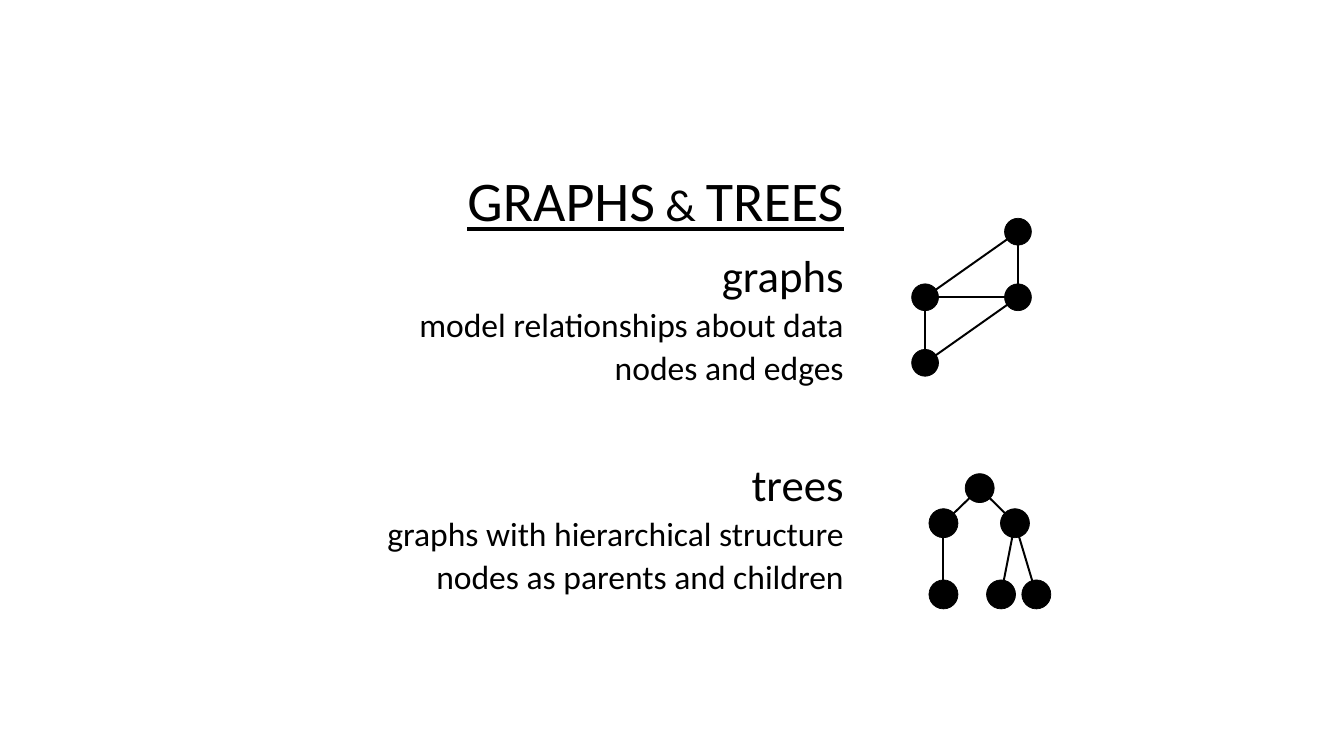
import pptx
import pptx.util
import pptx.dml.color
import pptx.enum.shapes
import pptx.enum.text
import lxml.etree

COLORS = {"ink": "000000", "page": "FFFFFF"}
FONT = "Calibri"
WIDTH, HEIGHT = pptx.util.Inches(18.96), pptx.util.Inches(10.67)
COLUMN, ROW = WIDTH / 100, HEIGHT / 100

TITLE_BOX = (0, 21.84, 63.29, 9)
TOPICS_BOX = (0, 32.8, 63.29, 47)
GRAPH_BOX = (68.83, 30.65, 6.91, 17.34)
TREE_BOX = (70.2, 64.57, 6.91, 14.06)

TOPICS = [
    ("graphs", ["model relationships about data", "nodes and edges"]),
    ("trees", ["graphs with hierarchical structure", "nodes as parents and children"]),
]
GRAPH_NODES = [(1, 0), (0, 0.5), (1, 0.5), (0, 1)]
GRAPH_EDGES = [(0, 1), (0, 2), (1, 2), (1, 3), (2, 3)]
TREE_NODES = [(0.39, 0), (0, 0.33), (0.77, 0.33), (0, 1), (0.62, 1), (1, 1)]
TREE_EDGES = [(0, 1), (0, 2), (1, 3), (2, 4), (2, 5)]


def color(name):
    return pptx.dml.color.RGBColor.from_string(COLORS[name])


def place(box):
    left, top, width, height = box
    return [int(length) for length in (left * COLUMN, top * ROW, width * COLUMN, height * ROW)]


def prepare_frame(frame):
    frame.word_wrap = True
    frame.auto_size = pptx.enum.text.MSO_AUTO_SIZE.NONE
    frame.vertical_anchor = pptx.enum.text.MSO_ANCHOR.TOP
    frame.margin_top = frame.margin_bottom = 0


def style_paragraph(para, size, before=0, spacing=1.0):
    para.alignment = pptx.enum.text.PP_ALIGN.RIGHT
    para.line_spacing = spacing
    para.space_before = pptx.util.Pt(before)
    para.font.name = FONT
    para.font.size = pptx.util.Pt(size)
    para.font.color.rgb = color("ink")


def add_title(page, box, text):
    title = page.shapes.title
    title.left, title.top, title.width, title.height = place(box)
    prepare_frame(title.text_frame)
    title.text_frame.text = text
    para = title.text_frame.paragraphs[0]
    style_paragraph(para, 56.9)
    para.font.underline = True
    para._p.get_or_add_pPr().get_or_add_defRPr().set("cap", "small")


def add_topics(page, box, topics):
    frame = page.shapes.add_textbox(*place(box)).text_frame
    prepare_frame(frame)
    for index, (heading, details) in enumerate(topics):
        para = frame.add_paragraph() if index else frame.paragraphs[0]
        para.text = heading
        style_paragraph(para, 45.5, before=69.7 if index else 0)
        for detail in details:
            para = frame.add_paragraph()
            para.text = detail
            para.level = 1
            style_paragraph(para, 34.1, before=7.1, spacing=0.9)


def add_diagram(page, box, nodes, edges, diameter):
    left, top, width, height = place(box)
    size = int(diameter * COLUMN)
    centers = [(int(left + x * width), int(top + y * height)) for x, y in nodes]
    group = page.shapes.add_group_shape()
    for start, end in edges:
        edge = group.shapes.add_connector(
            pptx.enum.shapes.MSO_CONNECTOR.STRAIGHT, *centers[start], *centers[end])
        edge.line.color.rgb = color("ink")
        edge.line.width = pptx.util.Pt(2)
        lxml.etree.SubElement(edge._element.spPr, pptx.oxml.ns.qn("a:effectLst"))
    for x, y in centers:
        node = group.shapes.add_shape(
            pptx.enum.shapes.MSO_SHAPE.OVAL, x - size // 2, y - size // 2, size, size)
        node.shadow.inherit = False
        node.fill.solid()
        node.fill.fore_color.rgb = color("ink")
        node.line.color.rgb = color("ink")
        node.line.width = pptx.util.Pt(0.75)


def main():
    deck = pptx.Presentation()
    deck.slide_width, deck.slide_height = WIDTH, HEIGHT
    page = deck.slides.add_slide(deck.slide_layouts.get_by_name("Title Only"))
    page.background.fill.solid()
    page.background.fill.fore_color.rgb = color("page")
    add_title(page, TITLE_BOX, "GRAPHS & TREES")
    add_topics(page, TOPICS_BOX, TOPICS)
    add_diagram(page, GRAPH_BOX, GRAPH_NODES, GRAPH_EDGES, diameter=2)
    add_diagram(page, TREE_BOX, TREE_NODES, TREE_EDGES, diameter=2.16)
    deck.save("out.pptx")


if __name__ == "__main__":
    main()
